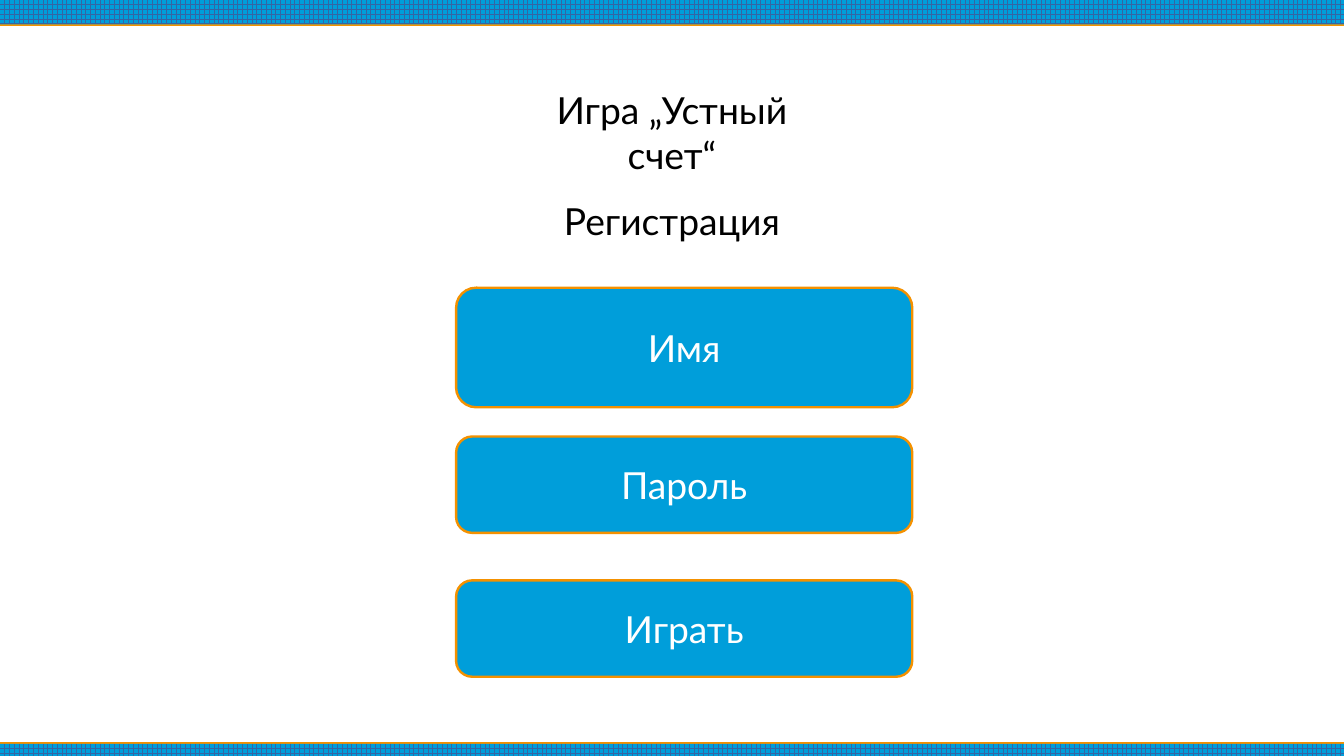
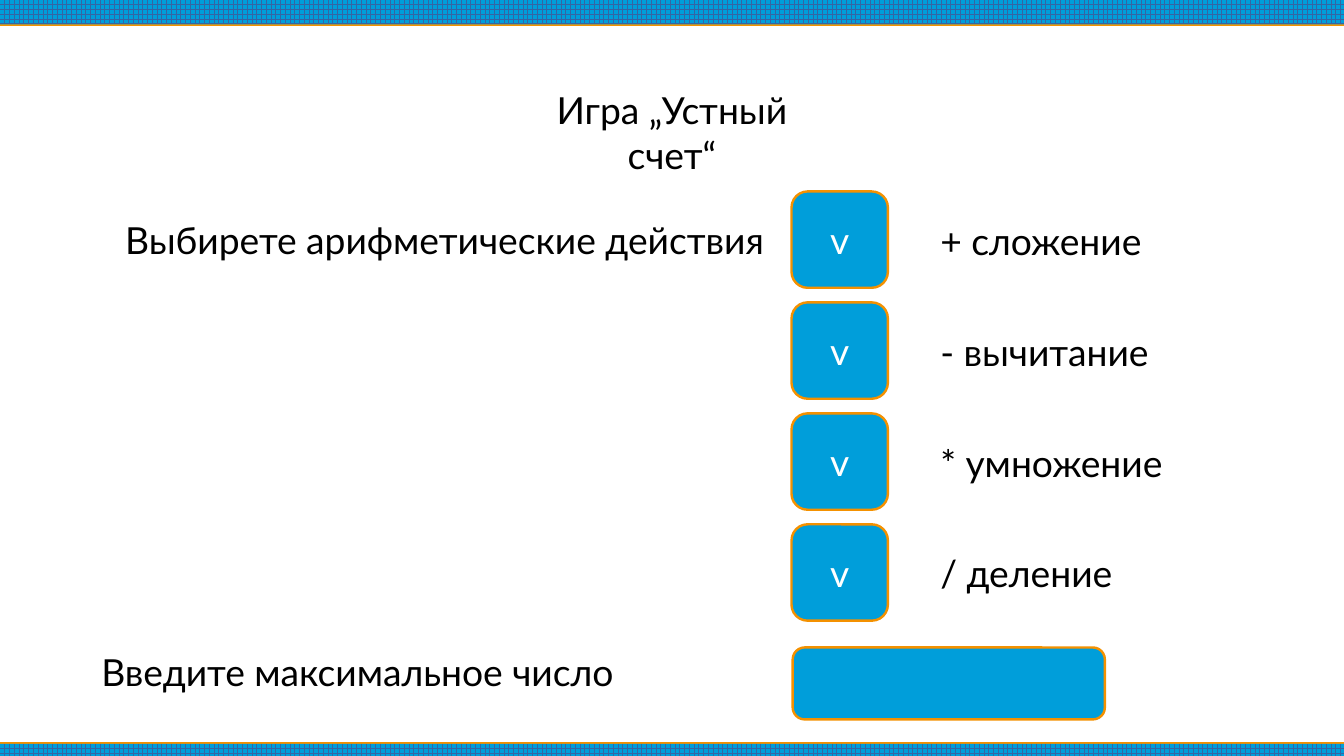
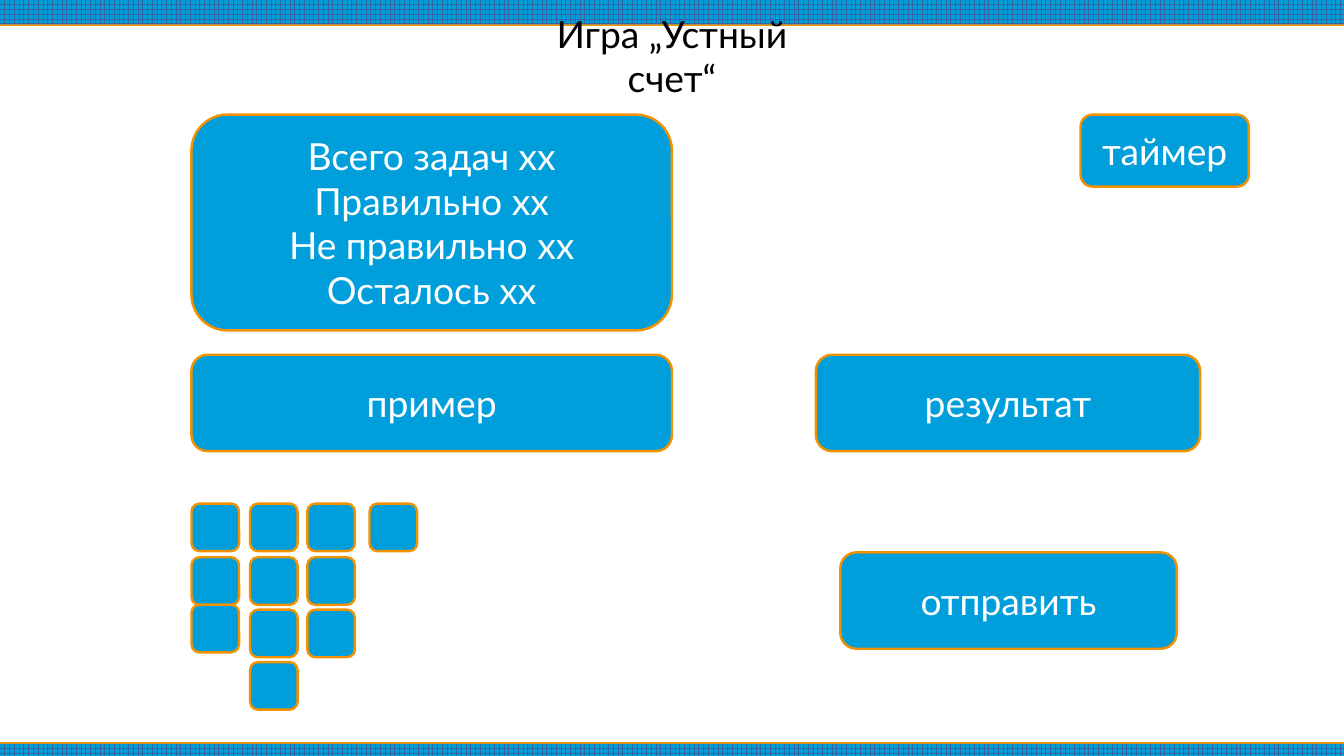
from lxml import etree
from pptx import Presentation
from pptx.dml.color import RGBColor
from pptx.enum.dml import MSO_PATTERN
from pptx.enum.shapes import MSO_SHAPE
from pptx.enum.text import MSO_ANCHOR, PP_ALIGN
from pptx.oxml.ns import qn
from pptx.util import Inches, Pt

ROUNDED = MSO_SHAPE.ROUNDED_RECTANGLE
RECTANGLE = MSO_SHAPE.RECTANGLE
LARGE_GRID = MSO_PATTERN.LARGE_GRID
MIDDLE = MSO_ANCHOR.MIDDLE
CENTER, LEFT = PP_ALIGN.CENTER, PP_ALIGN.LEFT

color = RGBColor.from_string
BLUE, ORANGE, GRID = "009EDA", "F49100", "3465A4"
BLACK, WHITE = "000000", "FFFFFF"
FONT, SIZE = "Lato", Pt(22)
WIDTH, HEIGHT = 11.02, 6.2
GAME_TITLE = "Игра „Устный счет“"


def put_text(shape, text, ink=BLACK, align=CENTER, wrap=True):
    """Fill a shape with text in the deck's type style, one paragraph a line."""
    frame = shape.text_frame
    frame.text = text
    frame.word_wrap = wrap
    frame.vertical_anchor = MIDDLE
    frame.margin_left = frame.margin_right = Inches(0.04)
    frame.margin_top = frame.margin_bottom = Inches(0.04)
    for para in frame.paragraphs:
        para.alignment = align
        para.font.name = FONT
        para.font.size = SIZE
        para.font.color.rgb = color(ink)


def add_button(page, left, top, width, height, text=""):
    button = page.shapes.add_shape(
        ROUNDED, Inches(left), Inches(top), Inches(width), Inches(height))
    button.shadow.inherit = False
    button.fill.solid()
    button.fill.fore_color.rgb = color(BLUE)
    button.line.color.rgb = color(ORANGE)
    button.line.width = Pt(1.42)
    if text:
        put_text(button, text, WHITE, wrap=False)


deck = Presentation()
deck.slide_width, deck.slide_height = Inches(WIDTH), Inches(HEIGHT)
layout = deck.slide_layouts.get_by_name("Title Only")

# Every slide carries the game title
pages = []
for title_top in (0.63, 0.63, 0):
    page = deck.slides.add_slide(layout)
    title = page.shapes.title
    title.left, title.top = Inches(4.13), Inches(title_top)
    title.width, title.height = Inches(2.76), Inches(0.91)
    put_text(title, GAME_TITLE)
    pages.append(page)
registration, settings, game = pages

# Bands are built on a slide, then moved to the master
master_tree = deck.slide_master.shapes.element
for number, (top, height, angle) in enumerate([(0, 0.2, 90), (6.1, 0.1, 270)]):
    band = registration.shapes.add_shape(
        RECTANGLE, 0, Inches(top), Inches(WIDTH), Inches(height))
    band.fill.patterned()
    band.fill.pattern = LARGE_GRID
    band.fill.fore_color.rgb = color(GRID)
    band.fill.back_color.rgb = color(BLUE)
    band.line.fill.background()
    band.shadow.inherit = False
    shadow = etree.SubElement(
        band.element.spPr.find(qn("a:effectLst")), qn("a:outerShdw"),
        blurRad="0", dist=str(Pt(0.9)), dir=str(angle * 60000),
        algn="ctr", rotWithShape="0")
    etree.SubElement(shadow, qn("a:srgbClr"), val=ORANGE)
    band.element.nvSpPr.cNvPr.set("id", str(101 + number))
    master_tree.append(band.element)

# Slide 1: registration
heading = registration.shapes.add_textbox(
    Inches(4.13), Inches(1.56), Inches(2.76), Inches(0.5))
put_text(heading, "Регистрация")
for text, top, height in [("Имя", 2.36, 0.98), ("Пароль", 3.58, 0.79),
                          ("Играть", 4.76, 0.79)]:
    add_button(registration, 3.74, top, 3.74, height, text)

# Slide 2: choice of operations
prompt = settings.shapes.add_textbox(
    Inches(0.79), Inches(1.57), Inches(5.71), Inches(0.79))
put_text(prompt, "Выбирете арифметические действия")
operations = ["+ сложение", "- вычитание", "* умножение", "/ деление"]
for row, operation in enumerate(operations):
    top = 1.57 + row * 0.91
    add_button(settings, 6.49, top, 0.79, 0.79, "v")
    label = settings.shapes.add_textbox(
        Inches(7.67), Inches(top + 0.15), Inches(2.56), Inches(0.5))
    put_text(label, operation, align=LEFT)
limit = settings.shapes.add_textbox(
    Inches(0.79), Inches(5.26), Inches(5.51), Inches(0.5))
put_text(limit, "Введите максимальное число", align=LEFT)
add_button(settings, 6.5, 5.31, 2.56, 0.59)

# Slide 3: game screen
score = "Всего задач хх\nПравильно хх\nНе правильно хх\nОсталось хх"
for left, top, width, height, text in [
    (8.86, 0.94, 1.38, 0.59, "таймер"),
    (1.57, 2.91, 3.94, 0.79, "пример"),
    (1.57, 0.94, 3.94, 1.77, score),
    (6.69, 2.91, 3.15, 0.79, "результат"),
    (6.89, 4.53, 2.76, 0.79, "отправить"),
]:
    add_button(game, left, top, width, height, text)

# Keypad: a regular grid plus two keys that stand off it
key_columns, key_rows = (1.57, 2.05, 2.52), (4.13, 4.57, 5, 5.43)
keys = [(left, top) for top in key_rows[:2] for left in key_columns]
keys += [(left, key_rows[2]) for left in key_columns[1:]]
keys += [(key_columns[1], key_rows[3]), (3.03, 4.13), (1.57, 4.96)]
for left, top in keys:
    add_button(game, left, top, 0.39, 0.39)

deck.save("out.pptx")
